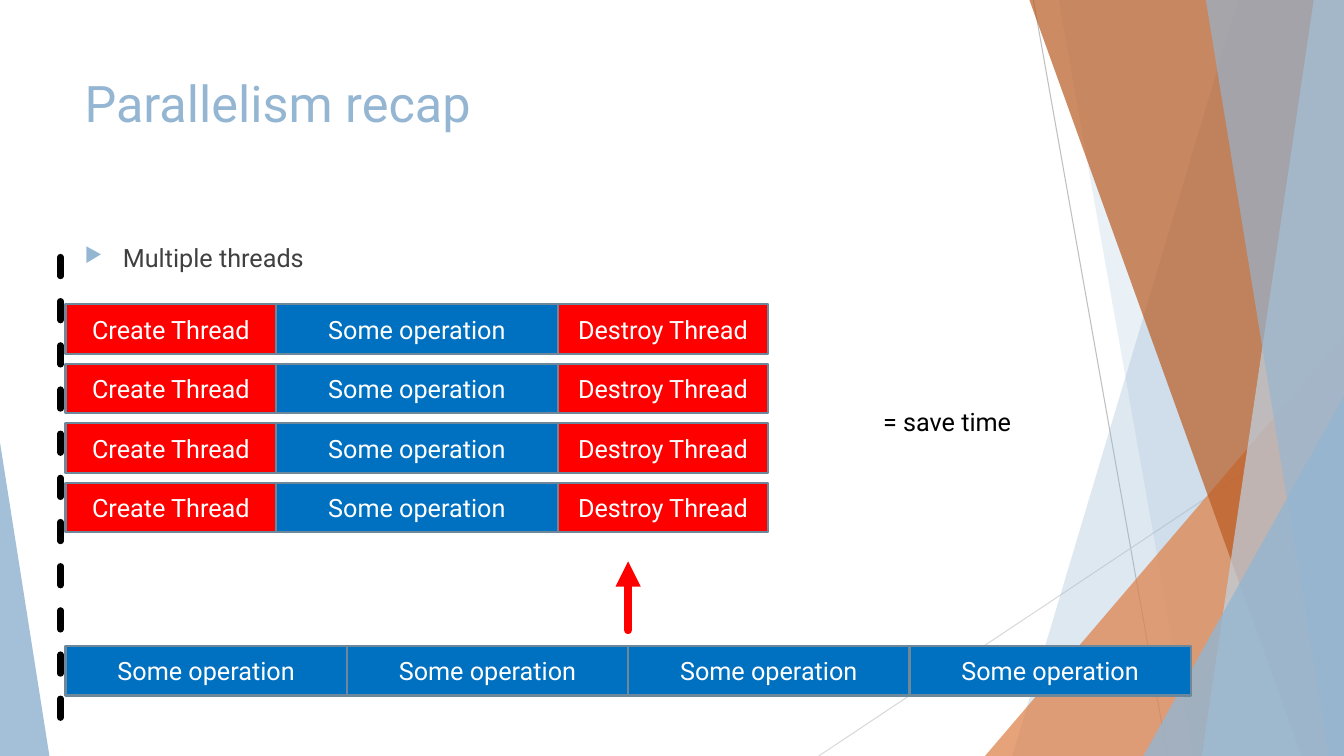
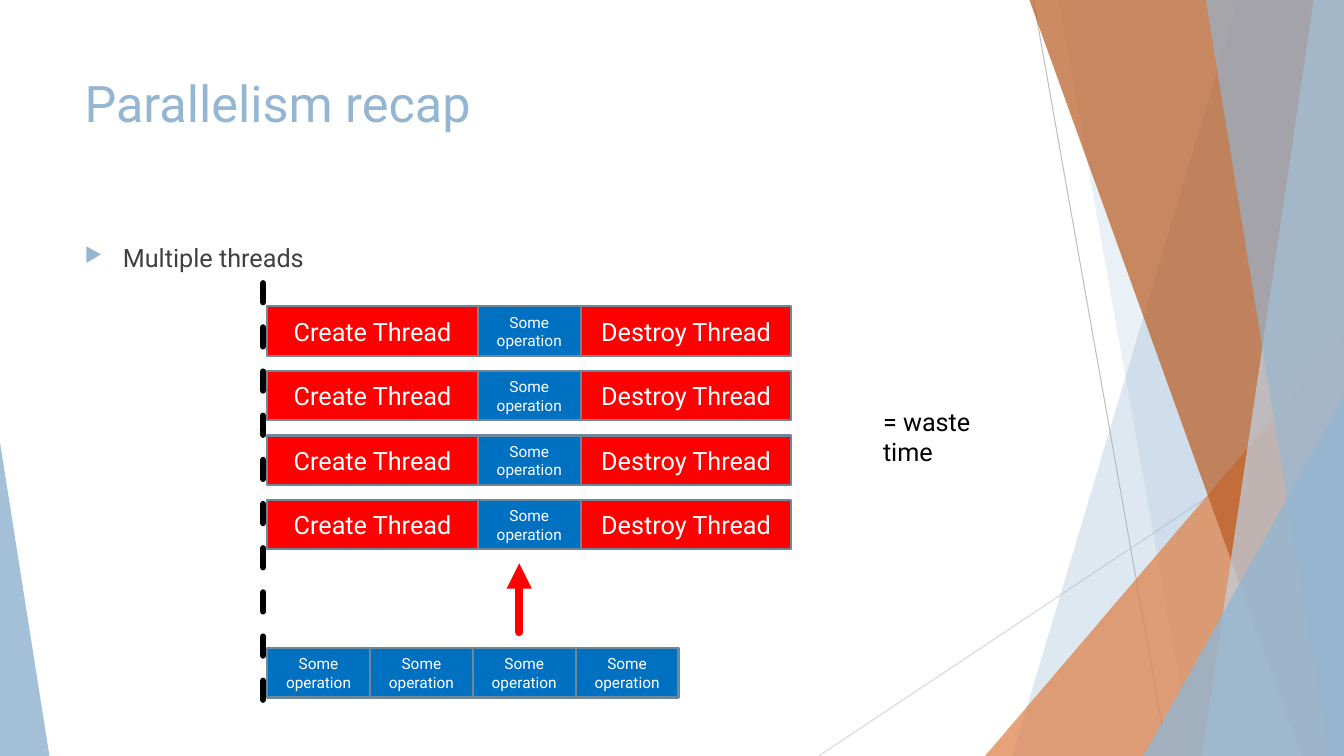
from pptx import Presentation
from pptx.dml.color import RGBColor
from pptx.enum.dml import MSO_LINE
from pptx.enum.shapes import MSO_CONNECTOR, MSO_SHAPE
from pptx.enum.text import MSO_ANCHOR, MSO_AUTO_SIZE, PP_ALIGN
from pptx.oxml import parse_xml
from pptx.oxml.ns import nsdecls, qn
from pptx.util import Inches, Pt

WIDTH, HEIGHT = 13.33, 7.5
FONT = "Roboto"
COLORS = {
    "accent": "94B6D2",
    "pale": "BFD3E4",
    "orange": "DD8047",
    "rust": "B95B22",
    "gray": "BFBFBF",
    "light_gray": "D9D9D9",
    "body": "404040",
    "black": "000000",
    "white": "FFFFFF",
    "red": "FF0000",
    "blue": "0070C0",
    "border": "6D879B",
}
BAR_HEIGHT = 0.49
THREAD_WIDTH = 2.09
THREAD_COUNT = 4


def rgb(color):
    return RGBColor.from_string(COLORS[color])


def drawing_xml(tag, attributes="", content=""):
    return parse_xml(f'<a:{tag} {nsdecls("a")} {attributes}>{content}</a:{tag}>')


class Deck:
    def __init__(self):
        self.presentation = Presentation()
        self.presentation.slide_width = Inches(WIDTH)
        self.presentation.slide_height = Inches(HEIGHT)
        self.slide = None

    def new_slide(self, title, bullet):
        self.slide = self.presentation.slides.add_slide(self.presentation.slide_layouts[6])
        self.backdrop()
        self.text(title, 0.74, 0.67, 9.4, 1.44, 36, "accent")
        self.bullet(bullet, 0.74, 2.36, 9.4, 4.24)

    def backdrop(self):
        self.line((10.25, 0), (11.58, HEIGHT), "gray", 0.75)
        self.line((WIDTH, 4.03), (8.12, HEIGHT), "light_gray", 0.75)
        self.band(12.28, 10.04, "accent", 30)
        self.band(10.5, 11.83, "accent", 20)
        self.triangle(9.77, 3.33, 3.56, 1, "orange", 72)
        self.band(10.21, 12.91, "rust", 70)
        self.band(13.03, 11.92, "pale", 70)
        self.band(11.96, 13.18, "accent", 65)
        self.triangle(11.34, 3.93, 1.99, 1, "accent", 80)
        self.triangle(0, 4.39, 0.49, 0, "accent", 85)

    def paint(self, shape, color, opacity=100):
        shape.shadow.inherit = False
        shape.line.fill.background()
        shape.fill.solid()
        shape.fill.fore_color.rgb = rgb(color)
        if opacity < 100:
            fill = shape.element.spPr.find(qn("a:solidFill"))
            fill[0].append(drawing_xml("alpha", f'val="{opacity * 1000}"'))

    def band(self, top_x, bottom_x, color, opacity):
        builder = self.slide.shapes.build_freeform(Inches(top_x), 0)
        corners = [(WIDTH, 0), (WIDTH, HEIGHT), (bottom_x, HEIGHT)]
        builder.add_line_segments([(Inches(x), Inches(y)) for x, y in corners])
        self.paint(builder.convert_to_shape(), color, opacity)

    def triangle(self, left, top, width, apex, color, opacity):
        shape = self.slide.shapes.add_shape(
            MSO_SHAPE.ISOSCELES_TRIANGLE,
            Inches(left), Inches(top), Inches(width), Inches(HEIGHT - top))
        shape.adjustments[0] = apex
        self.paint(shape, color, opacity)

    def line(self, start, end, color, weight, dashed=False, arrow=False, rounded=False):
        connector = self.slide.shapes.add_connector(
            MSO_CONNECTOR.STRAIGHT, *[Inches(value) for value in (*start, *end)])
        connector.line.color.rgb = rgb(color)
        connector.line.width = Pt(weight)
        if dashed:
            connector.line.dash_style = MSO_LINE.DASH
        properties = connector.element.spPr
        outline = properties.find(qn("a:ln"))
        if rounded:
            outline.set("cap", "rnd")
        if arrow:
            outline.append(drawing_xml("tailEnd", 'type="triangle"'))
        properties.append(drawing_xml("effectLst"))

    def format_text(self, paragraph, size, color):
        for run in paragraph.runs:
            run.font.name = FONT
            run.font.size = Pt(size)
            run.font.color.rgb = rgb(color)

    def text(self, text, left, top, width, height, size, color, wrap=True):
        shape = self.slide.shapes.add_textbox(
            Inches(left), Inches(top), Inches(width), Inches(height))
        frame = shape.text_frame
        frame.word_wrap = wrap
        if not wrap:
            frame.auto_size = MSO_AUTO_SIZE.SHAPE_TO_FIT_TEXT
        frame.text = text
        self.format_text(frame.paragraphs[0], size, color)
        return frame.paragraphs[0]

    def bullet(self, text, left, top, width, height):
        paragraph = self.text(text, left, top, width, height, 18, "body")
        properties = paragraph._p.get_or_add_pPr()
        indent = Inches(0.38)
        properties.set("marL", str(indent))
        properties.set("indent", str(-indent))
        accent = f'<a:srgbClr val="{COLORS["accent"]}"/>'
        properties.append(drawing_xml("buClr", content=accent))
        properties.append(drawing_xml("buSzPct", 'val="80000"'))
        properties.append(drawing_xml("buChar", 'char="▶"'))

    def bar(self, text, left, top, width, color, size=18):
        shape = self.slide.shapes.add_shape(
            MSO_SHAPE.RECTANGLE,
            Inches(left), Inches(top), Inches(width), Inches(BAR_HEIGHT))
        self.paint(shape, color)
        shape.line.color.rgb = rgb("border")
        shape.line.width = Pt(1.5)
        frame = shape.text_frame
        frame.word_wrap = True
        frame.vertical_anchor = MSO_ANCHOR.MIDDLE
        frame.text = text
        frame.paragraphs[0].alignment = PP_ALIGN.CENTER
        self.format_text(frame.paragraphs[0], size, "white")

    def operation(self, left, top, width, size):
        self.bar("Some operation", left, top, width, "blue", size)

    def thread(self, left, top, width, size):
        self.bar("Create Thread", left, top, THREAD_WIDTH, "red")
        self.operation(left + THREAD_WIDTH, top, width, size)
        self.bar("Destroy Thread", left + THREAD_WIDTH + width, top, THREAD_WIDTH, "red")

    def comparison(self, left, top, pitch, width, size, sequence_top,
                   arrow_x, arrow_tip, start_line, verdict):
        self.new_slide("Parallelism recap", "Multiple threads")
        for index in range(THREAD_COUNT):
            self.thread(left, top + index * pitch, width, size)
            self.operation(left + index * width, sequence_top, width, size)
        self.line((arrow_x, arrow_tip + 0.68), (arrow_x, arrow_tip),
                  "red", 6, arrow=True, rounded=True)
        self.text(verdict, 8.66, 3.98, 1.6, 0.4, 18, "black", wrap=False)
        x, line_top, line_bottom = start_line
        self.line((x, line_top), (x, line_bottom), "black", 4.5, dashed=True, rounded=True)


def main():
    deck = Deck()
    deck.comparison(left=0.65, top=3.02, pitch=0.59, width=2.79, size=18,
                    sequence_top=6.41, arrow_x=6.23, arrow_tip=5.57,
                    start_line=(0.6, 2.55, 7.25), verdict="= save time")
    deck.comparison(left=2.65, top=3.04, pitch=0.64, width=1.02, size=11,
                    sequence_top=6.43, arrow_x=5.15, arrow_tip=5.59,
                    start_line=(2.61, 2.81, 7.05), verdict="= waste time")
    deck.presentation.save("out.pptx")


if __name__ == "__main__":
    main()
